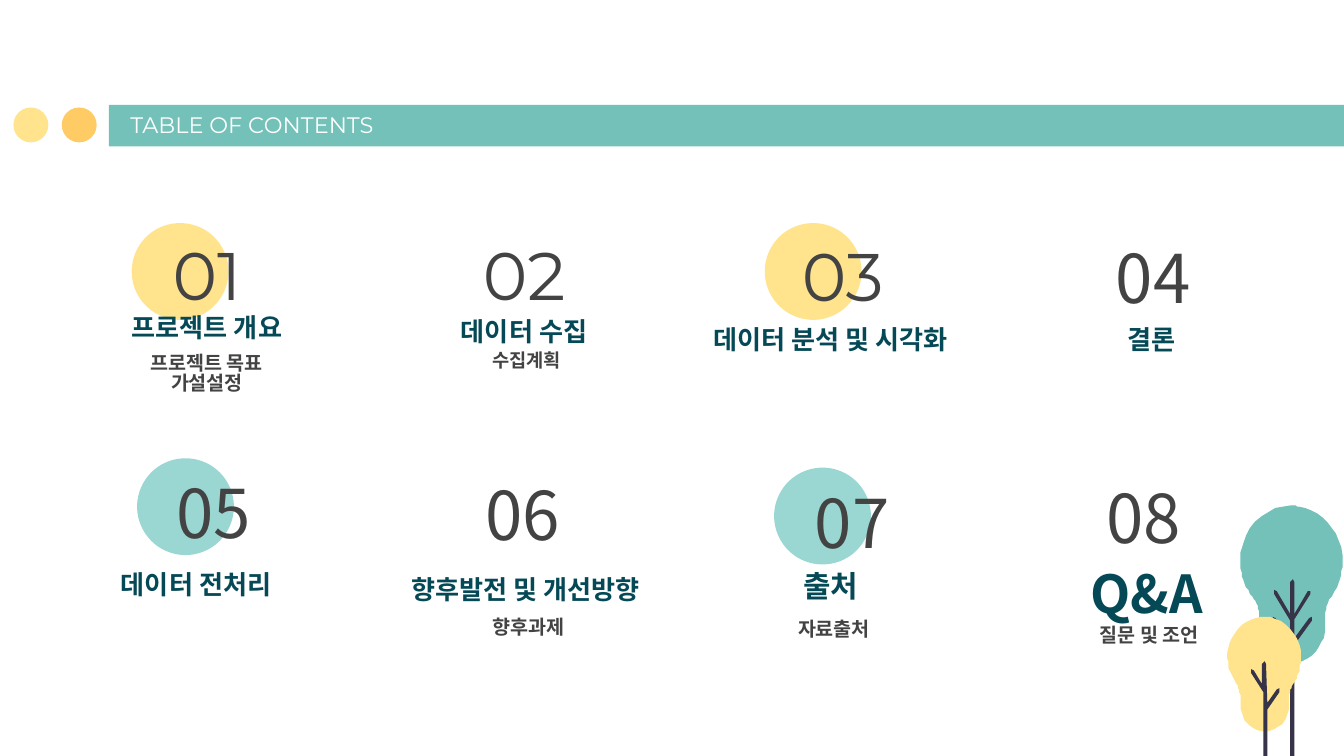
from lxml.etree import SubElement
from pptx import Presentation
from pptx.dml.color import RGBColor as RGB
from pptx.enum.shapes import MSO_SHAPE as Shape
from pptx.enum.text import MSO_ANCHOR as Anchor, MSO_AUTO_SIZE as Fit, PP_ALIGN as Align
from pptx.oxml.ns import qn
from pptx.util import Inches, Pt

PX = 9144  # 100 px to the inch
LATIN, KOREAN = "Montserrat", "Noto Sans CJK KR"
COLORS = {
    "white": "FFFFFF", "teal": "74C1B9", "mint": "9AD7D2", "gold": "FFCB64",
    "yellow": "FFE48D", "wood": "373449", "gray": "434343", "navy": "054957",
}


def curve(start, parts):
    """Points along a chain of cubic curves, given as x, y triples."""
    dots, (ax, ay) = [start], start
    for bx, by, cx, cy, dx, dy in parts:
        for step in range(1, 11):
            t = step / 10
            u = 1 - t
            w = (u ** 3, 3 * u * u * t, 3 * u * t * t, t ** 3)
            dots.append((sum(a * b for a, b in zip(w, (ax, bx, cx, dx))),
                         sum(a * b for a, b in zip(w, (ay, by, cy, dy)))))
        ax, ay = dx, dy
    return dots


class Page:
    def __init__(self, deck):
        self.slide = deck.slides.add_slide(deck.slide_layouts[5])
        self.shapes = self.slide.shapes

    def paint(self, shape, color):
        shape.shadow.inherit = False
        shape.fill.solid()
        shape.fill.fore_color.rgb = RGB.from_string(COLORS[color])
        shape.line.fill.background()

    def box(self, kind, x, y, w, h, color):
        shape = self.shapes.add_shape(kind, x * PX, y * PX, w * PX, h * PX)
        self.paint(shape, color)

    def dot(self, x, y, size, color):
        self.box(Shape.OVAL, x, y, size, size, color)

    def form(self, dots, color):
        pen = self.shapes.build_freeform(*dots[0], scale=PX)
        pen.add_line_segments(dots[1:], close=True)
        self.paint(pen.convert_to_shape(), color)

    def label(self, shape, text, size, color, font=KOREAN, bold=False,
              anchor=Anchor.MIDDLE, align=Align.CENTER, space=1.0):
        frame = shape.text_frame
        frame.text = text
        frame.word_wrap = True
        frame.auto_size = Fit.NONE
        frame.vertical_anchor = anchor
        frame.margin_left = frame.margin_right = 10 * PX
        frame.margin_top = frame.margin_bottom = 10 * PX
        for para in frame.paragraphs:
            para.alignment = align
            para.line_spacing = space
            style = para.font
            style.size, style.bold, style.name = Pt(size), bold, font
            style.color.rgb = RGB.from_string(COLORS[color])
            props = para._p.pPr.find(qn("a:defRPr"))
            SubElement(props, qn("a:ea"), typeface=font)

    def text(self, x, y, w, h, text, size, color, **style):
        shape = self.shapes.add_textbox(x * PX, y * PX, w * PX, h * PX)
        self.label(shape, text, size, color, **style)

    def title(self, x, y, w, h, text):
        shape = self.shapes.title
        shape.left, shape.top = x * PX, y * PX
        shape.width, shape.height = w * PX, h * PX
        self.label(shape, text, 12, "white", font=LATIN,
                   anchor=Anchor.BOTTOM, align=Align.LEFT)
        self.shapes.element.append(shape.element)  # bring to front


# Tree outlines
BIG = curve((961, 376), [
    (940, 376, 923, 395, 923, 418), (923, 427, 926, 436, 932, 444),
    (936, 449, 938, 456, 937, 463), (935, 482, 948, 493, 962, 493),
    (975, 493, 986, 481, 986, 466), (985, 457, 987, 449, 992, 442),
    (997, 434, 1000, 423, 999, 413), (997, 394, 983, 379, 966, 377),
    (964, 376, 963, 376, 961, 376)])
SMALL = curve((941, 459), [
    (940, 459, 939, 459, 938, 459), (925, 461, 915, 472, 913, 486),
    (913, 493, 915, 501, 919, 507), (922, 512, 924, 518, 923, 524),
    (923, 535, 931, 544, 941, 544), (951, 544, 959, 536, 959, 525),
    (958, 517, 960, 512, 963, 508), (966, 503, 968, 496, 968, 489),
    (968, 473, 956, 459, 941, 459)])
TRUNK = [
    (962, 431), (960, 433), (960, 457), (950, 440), (948, 439), (948, 442),
    (960, 462), (960, 475), (949, 460), (947, 459), (947, 462), (960, 480),
    (960, 563), (962, 565), (963, 563), (963, 480), (976, 462), (976, 459),
    (974, 460), (963, 475), (963, 461), (975, 442), (975, 440), (973, 440),
    (963, 457), (963, 433)]
STEM = [
    (941, 492), (939, 494), (939, 509), (933, 499), (931, 498), (931, 501),
    (940, 515), (940, 570), (941, 572), (943, 570), (943, 528), (952, 515),
    (952, 512), (950, 513), (943, 523), (942, 494)]

# Circles behind the numbers: x, y, color
DOTS = [(98, 166, "yellow"), (569, 166, "yellow"),
        (102, 341, "mint"), (576, 348, "mint")]

# Number: x, y, font; heading: x, y, width, size, text
ITEMS = [
    (58, 172, LATIN, 23, 202, 262, 14, "프로젝트 개요"),
    (294, 172, LATIN, 263, 205, 254, 14, "데이터 수집"),
    (531, 173, LATIN, 491, 211, 254, 14, "데이터 분석 및 시각화"),
    (762, 174, KOREAN, 730, 211, 254, 14, "결론"),
    (63, 349, KOREAN, 19, 393, 254, 14, "데이터 전처리"),
    (293, 351, KOREAN, 264, 397, 254, 14, "향후발전 및 개선방향"),
    (538, 357, KOREAN, 549, 396, 138, 16, "출처"),
    (755, 353, KOREAN, 726, 411, 254, 28, "Q&A"),
]

# Details: x, y, width, height, text, size
NOTES = [
    (50, 254, 208, 67, "프로젝트 목표\n가설설정", 10.5),
    (280, 252, 224, 67, "수집계획", 10),
    (289, 450, 208, 67, "향후과제", 10.5),
    (543, 452, 155, 42, "자료출처", 10.5),
    (751, 456, 208, 67, "질문 및 조언", 10.5),
]


def main():
    deck = Presentation()
    deck.slide_width, deck.slide_height = Inches(10), Inches(5.625)
    page = Page(deck)

    # Header
    page.box(Shape.RECTANGLE, 81, 78, 950, 31, "teal")
    page.dot(46, 80, 26, "gold")
    page.dot(10, 80, 26, "yellow")
    page.title(87, 79, 548, 34, "TABLE OF CONTENTS")

    # Trees
    for dots, color in ((BIG, "teal"), (TRUNK, "wood"),
                        (SMALL, "yellow"), (STEM, "wood")):
        page.form(dots, color)

    # Contents
    for x, y, color in DOTS:
        page.dot(x, y, 72, color)
    for num, (nx, ny, font, x, y, w, size, text) in enumerate(ITEMS, 1):
        page.text(nx, ny, 192, 63, f"{num:02}", 36, "gray", font=font)
        page.text(x, y, w, 63, text, size, "navy", bold=True, anchor=Anchor.BOTTOM)
    for *place, text, size in NOTES:
        page.text(*place, text, size, "gray", bold=True,
                  anchor=Anchor.TOP, space=0.85)

    deck.save("out.pptx")


if __name__ == "__main__":
    main()
